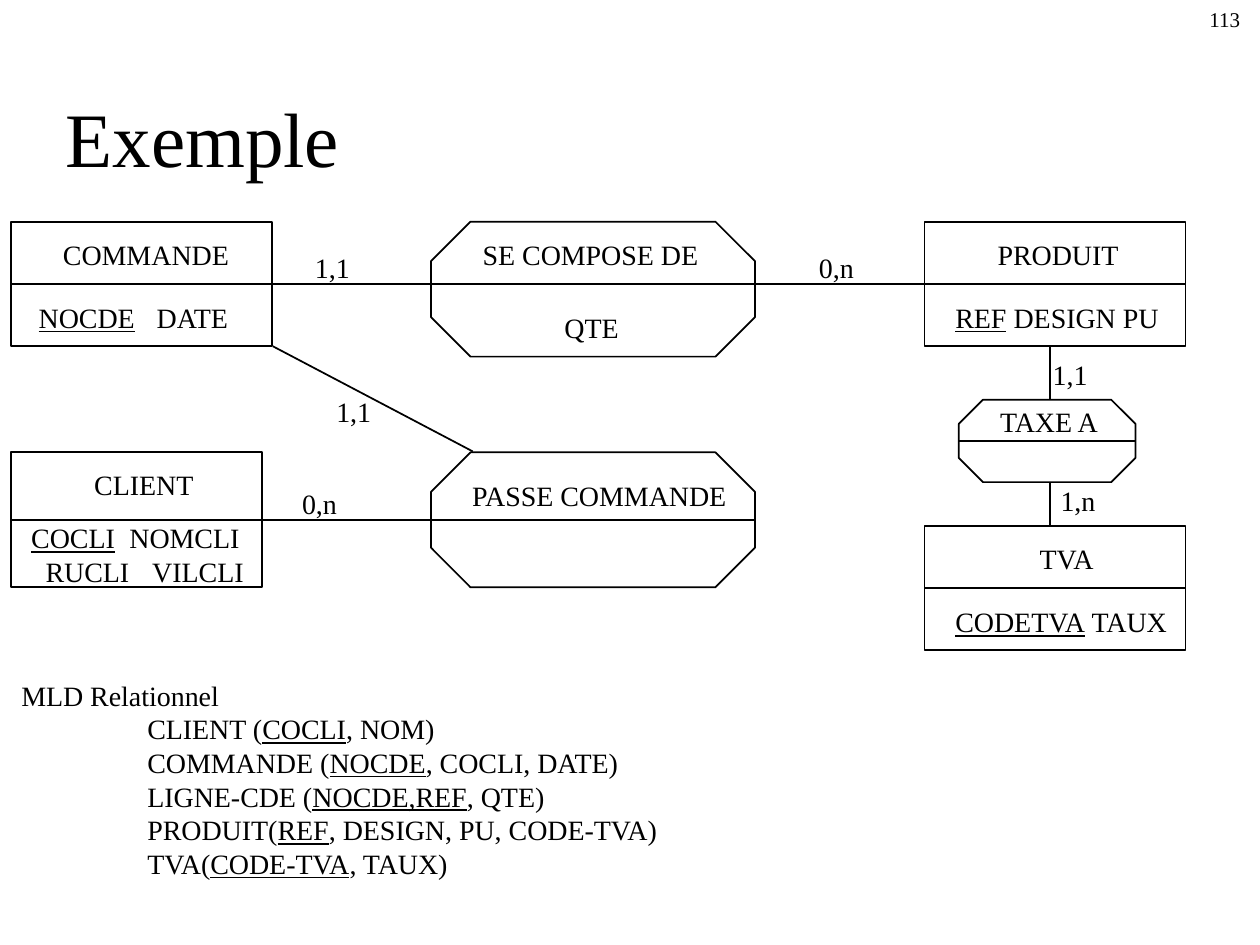
from dataclasses import dataclass

from lxml.etree import SubElement
from pptx import Presentation
from pptx.dml.color import RGBColor
from pptx.enum.shapes import MSO_CONNECTOR, MSO_SHAPE
from pptx.enum.text import MSO_ANCHOR, PP_ALIGN
from pptx.oxml.ns import qn
from pptx.util import Cm, Pt

FONT = "Times New Roman"
INK = "000000"
UNDERLINE_MARK = "_"  # text between two marks is underlined


@dataclass
class Node:
    left: float
    top: float
    width: float
    height: float
    kind: MSO_SHAPE = MSO_SHAPE.RECTANGLE
    divided: bool = True


@dataclass
class Line:
    text: str
    indent: float = 0
    tabs: tuple[float, ...] = ()


@dataclass
class Label:
    left: float
    top: float
    width: float
    lines: list[Line]
    height: float = 0.94
    size: int = 16
    wrap: bool = False


def colour(hex_code: str) -> RGBColor:
    return RGBColor.from_string(hex_code)


def add_text(paragraph, text: str, *, size: int = 16, color: str = INK) -> None:
    for index, part in enumerate(text.split(UNDERLINE_MARK)):
        if not part:
            continue
        run = paragraph.add_run()
        run.text = part
        run.font.name = FONT
        run.font.size = Pt(size)
        run.font.color.rgb = colour(color)
        if index % 2:
            run.font.underline = True


def draw_connection(slide, x1: float, y1: float, x2: float, y2: float) -> None:
    connection = slide.shapes.add_connector(
        MSO_CONNECTOR.STRAIGHT, Cm(x1), Cm(y1), Cm(x2), Cm(y2))
    connection.line.color.rgb = colour(INK)
    connection.line.width = Pt(1)
    SubElement(connection._element.spPr, qn("a:effectLst"))


def draw_node(slide, node: Node) -> None:
    outline = slide.shapes.add_shape(
        node.kind, Cm(node.left), Cm(node.top), Cm(node.width), Cm(node.height))
    outline.shadow.inherit = False
    outline.fill.background()
    outline.line.color.rgb = colour(INK)
    outline.line.width = Pt(1)
    if node.divided:
        middle = node.top + node.height / 2
        draw_connection(slide, node.left, middle, node.left + node.width, middle)


def draw_label(slide, label: Label) -> None:
    frame = slide.shapes.add_textbox(
        Cm(label.left), Cm(label.top), Cm(label.width), Cm(label.height)).text_frame
    frame.word_wrap = label.wrap
    for index, line in enumerate(label.lines):
        paragraph = frame.add_paragraph() if index else frame.paragraphs[0]
        properties = paragraph._p.get_or_add_pPr()
        if line.indent:
            properties.set("marL", "0")
            properties.set("indent", str(Cm(line.indent)))
        if line.tabs:
            stops = SubElement(properties, qn("a:tabLst"))
            for tab in line.tabs:
                SubElement(stops, qn("a:tab"), pos=str(Cm(tab)), algn="l")
        add_text(paragraph, line.text, size=label.size)


# Shared rows and columns of the diagram, in centimetres
LEFT, MIDDLE, RIGHT = 0.22, 8.69, 18.64
TOP_ROW, LOWER_ROW, TVA_ROW = 4.47, 9.12, 10.6
ENTITY = (5.26, 2.51)
ASSOCIATION = (6.53, 2.72)

NODES = [
    Node(LEFT, TOP_ROW, *ENTITY),
    Node(RIGHT, TOP_ROW, *ENTITY),
    Node(LEFT, LOWER_ROW, 5.06, 2.72),
    Node(RIGHT, TVA_ROW, *ENTITY),
    Node(MIDDLE, TOP_ROW, *ASSOCIATION, MSO_SHAPE.OCTAGON, divided=False),
    Node(MIDDLE, LOWER_ROW, *ASSOCIATION, MSO_SHAPE.OCTAGON, divided=False),
    Node(19.33, 8.06, 3.56, 1.66, MSO_SHAPE.OCTAGON),
]

CONNECTIONS = [
    (5.5, 5.72, 18.63, 5.72),    # COMMANDE to PRODUIT
    (5.5, 6.98, 9.53, 9.1),      # COMMANDE to PASSE COMMANDE
    (5.28, 10.48, 15.23, 10.48),  # CLIENT to PASSE COMMANDE
    (21.17, 6.98, 21.17, 8.06),  # PRODUIT to TAXE A
    (21.17, 9.72, 21.17, 10.6),  # TAXE A to TVA
]

NAMES = [
    (1.02, 4.66, 3.86, "COMMANDE"),
    (1.65, 9.31, 2.51, "CLIENT"),
    (19.86, 4.66, 2.95, "PRODUIT"),
    (19.01, 5.93, 4.62, "_REF_ DESIGN PU"),
    (20.71, 10.8, 1.68, "TVA"),
    (19.01, 12.07, 4.93, "_CODETVA_ TAUX"),
    (9.48, 4.66, 4.88, "SE COMPOSE DE"),
    (11.13, 6.13, 1.6, "QTE"),
    (9.27, 9.53, 5.69, "PASSE COMMANDE"),
    (19.91, 8.04, 2.57, "TAXE A"),
]

CARDINALITIES = [
    (6.1, 4.93, "1,1"),
    (16.26, 4.93, "0,n"),
    (6.53, 7.82, "1,1"),
    (5.84, 9.68, "0,n"),
    (20.97, 7.09, "1,1"),
    (21.13, 9.63, "1,n"),
]

RELATIONS = [
    "CLIENT (_COCLI_, NOM)",
    "COMMANDE (_NOCDE_, COCLI, DATE)",
    "LIGNE-CDE (_NOCDE,REF_, QTE)",
    "PRODUIT(_REF_, DESIGN, PU, CODE-TVA)",
    "TVA(_CODE-TVA_, TAUX)",
]

LABELS = [
    *(Label(x, y, width, [Line(text)]) for x, y, width, text in NAMES),
    *(Label(x, y, 1.22, [Line(text)]) for x, y, text in CARDINALITIES),
    # Attributes set in columns
    Label(0.53, 5.93, 4.8, [Line("_NOCDE_\tDATE", tabs=(2.38,))], wrap=True),
    Label(0.38, 10.37, 5.2, [
        Line("_COCLI_\tNOMCLI", tabs=(1.98,)),
        Line("\tRUCLI\tVILCLI", tabs=(0.29, 2.44)),
    ], height=1.63, wrap=True),
    # Relational model
    Label(0.18, 13.55, 13.44, [
        Line("MLD Relationnel"),
        *(Line(relation, indent=2.54) for relation in RELATIONS),
    ], height=4.32, wrap=True),
    # Page number
    Label(24.13, 0, 1.27, [Line("113")], height=0.76, size=12, wrap=True),
]


def main() -> None:
    deck = Presentation()
    deck.slide_width, deck.slide_height = Cm(25.4), Cm(19.05)
    slide = deck.slides.add_slide(deck.slide_layouts[5])

    # Title
    title = slide.shapes.title
    title.left, title.top, title.width, title.height = Cm(1.07), Cm(0.84), Cm(21.49), Cm(2.97)
    title.text_frame.vertical_anchor = MSO_ANCHOR.BOTTOM
    heading = title.text_frame.paragraphs[0]
    heading.alignment = PP_ALIGN.LEFT
    add_text(heading, "Exemple", size=44)

    # Diagram and text
    for node in NODES:
        draw_node(slide, node)
    for ends in CONNECTIONS:
        draw_connection(slide, *ends)
    for label in LABELS:
        draw_label(slide, label)

    deck.save("out.pptx")


if __name__ == "__main__":
    main()
